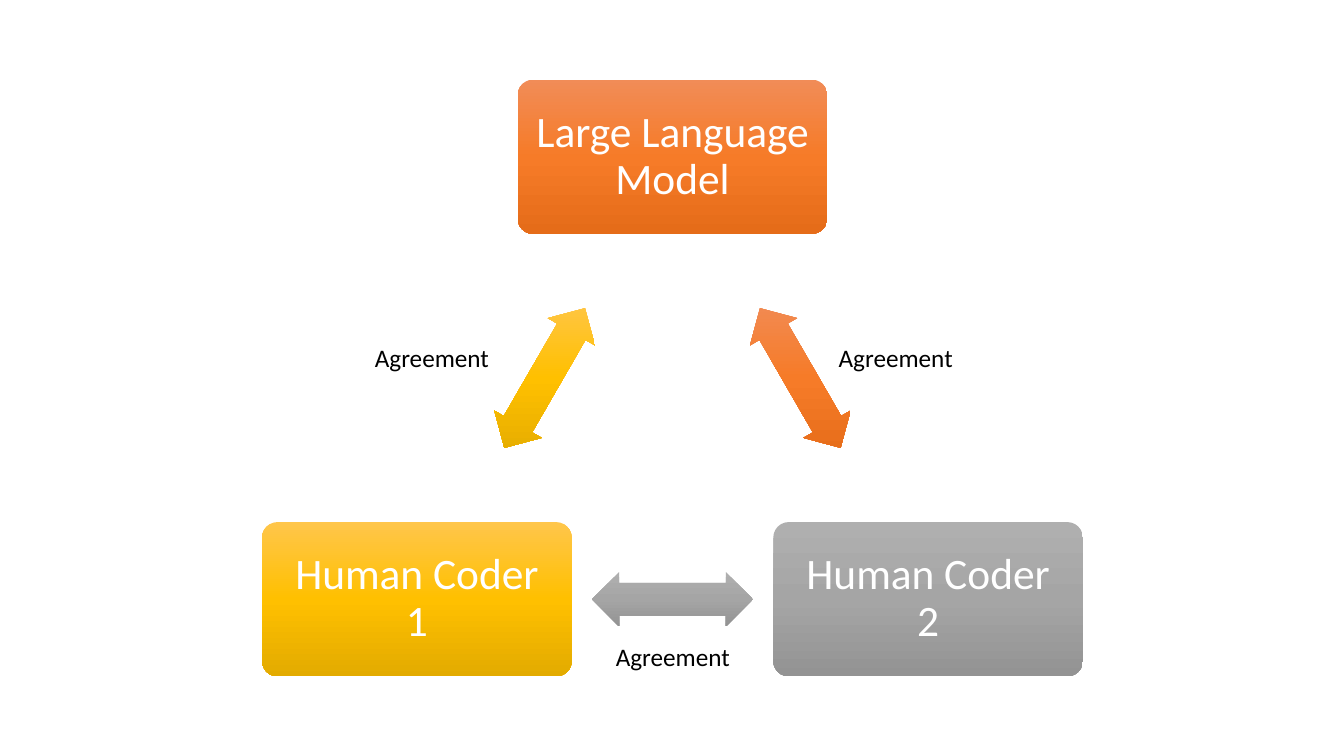
"""Build a slide of three raters joined by agreement arrows."""
from copy import deepcopy
from typing import NamedTuple

from pptx import Presentation
from pptx.dml.color import RGBColor
from pptx.enum.shapes import MSO_SHAPE
from pptx.enum.text import MSO_ANCHOR, PP_ALIGN
from pptx.oxml.ns import qn
from pptx.shapes.autoshape import Shape
from pptx.slide import Slide
from pptx.util import Inches, Pt

ROUND = MSO_SHAPE.ROUNDED_RECTANGLE
ARROW = MSO_SHAPE.LEFT_RIGHT_ARROW
MIDDLE = MSO_ANCHOR.MIDDLE
CENTER = PP_ALIGN.CENTER

WHITE = RGBColor(0xFF, 0xFF, 0xFF)
BLACK = RGBColor(0x00, 0x00, 0x00)
ORANGE = (RGBColor(0xF1, 0x8C, 0x57), RGBColor(0xF6, 0x7B, 0x28), RGBColor(0xE5, 0x6C, 0x19))
GRAY = (RGBColor(0xAF, 0xAF, 0xAF), RGBColor(0xA5, 0xA5, 0xA5), RGBColor(0x93, 0x93, 0x93))
GOLD = (RGBColor(0xFF, 0xC6, 0x4B), RGBColor(0xFF, 0xC0, 0x00), RGBColor(0xE3, 0xAB, 0x00))

FONT = "Calibri"
BOX_W, BOX_H = 3.07, 1.53
ARROW_W, ARROW_H = 1.6, 0.54
LABEL_W, LABEL_H = 1.5, 0.4
MID_X, STEP_X = 6.67, 2.535
TOP_Y, LOW_Y = 1.555, 5.945
MID_Y = (TOP_Y + LOW_Y) / 2


class Rater(NamedTuple):
    """A box with its center and colors."""
    name: str
    x: float
    y: float
    tones: tuple[RGBColor, ...]


class Link(NamedTuple):
    """An arrow center and turn, with the corner of its label."""
    x: float
    y: float
    turn: float
    tones: tuple[RGBColor, ...]
    left: float
    top: float


RATERS = (
    Rater("Large Language Model", MID_X, TOP_Y, ORANGE),
    Rater("Human Coder 2", MID_X + STEP_X, LOW_Y, GRAY),
    Rater("Human Coder 1", MID_X - STEP_X, LOW_Y, GOLD),
)
LINKS = (
    Link(MID_X + STEP_X / 2, MID_Y, 60, ORANGE, 8.22, 3.35),
    Link(MID_X, LOW_Y, 0, GRAY, 6.01, 6.31),
    Link(MID_X - STEP_X / 2, MID_Y, 300, GOLD, 3.62, 3.35),
)


def shade(shape: Shape, tones: tuple[RGBColor, ...]) -> None:
    """Fill a shape from top to bottom, whatever its turn."""
    fill = shape.fill
    fill.gradient()
    fill.gradient_angle = 270
    grad = shape.element.spPr.find(qn("a:gradFill"))
    grad.set("rotWithShape", "0")
    stops = grad.find(qn("a:gsLst"))
    stops.insert(1, deepcopy(stops[0]))
    for stop, tone, place in zip(fill.gradient_stops, tones, (0, 0.5, 1)):
        stop.color.rgb = tone
        stop.position = place


def draw(slide: Slide, kind: MSO_SHAPE, x: float, y: float, wide: float,
         high: float, tones: tuple[RGBColor, ...]) -> Shape:
    """Add a shaded shape around a center."""
    shape = slide.shapes.add_shape(
        kind, Inches(x - wide / 2), Inches(y - high / 2), Inches(wide), Inches(high))
    shape.shadow.inherit = False
    shape.line.fill.background()
    shade(shape, tones)
    return shape


def write(shape: Shape, text: str, size: float, color: RGBColor) -> None:
    """Set the text of a shape and format it."""
    frame = shape.text_frame
    frame.text = text
    frame.word_wrap = True
    font = frame.paragraphs[0].runs[0].font
    font.name, font.size, font.color.rgb = FONT, Pt(size), color


def add_rater(slide: Slide, rater: Rater) -> None:
    """Add a rater box with its name."""
    box = draw(slide, ROUND, rater.x, rater.y, BOX_W, BOX_H, rater.tones)
    box.adjustments[0] = 0.1
    write(box, rater.name, 31, WHITE)
    frame = box.text_frame
    frame.vertical_anchor = MIDDLE
    frame.margin_left = frame.margin_right = Inches(0.13)
    frame.margin_top = frame.margin_bottom = Inches(0.13)
    frame.paragraphs[0].alignment = CENTER
    frame.paragraphs[0].line_spacing = 0.9


def add_link(slide: Slide, link: Link) -> None:
    """Add an arrow and its label."""
    arrow = draw(slide, ARROW, link.x, link.y, ARROW_W, ARROW_H, link.tones)
    arrow.adjustments[0] = 0.6
    arrow.adjustments[1] = 0.5
    arrow.rotation = link.turn
    label = slide.shapes.add_textbox(
        Inches(link.left), Inches(link.top), Inches(LABEL_W), Inches(LABEL_H))
    write(label, "Agreement", 18, BLACK)


def main() -> None:
    """Build and save the slide."""
    deck = Presentation()
    deck.slide_width, deck.slide_height = Inches(13.33), Inches(7.5)
    slide = deck.slides.add_slide(deck.slide_layouts[6])
    for rater in RATERS:
        add_rater(slide, rater)
    for link in LINKS:
        add_link(slide, link)
    deck.save("out.pptx")


main()
